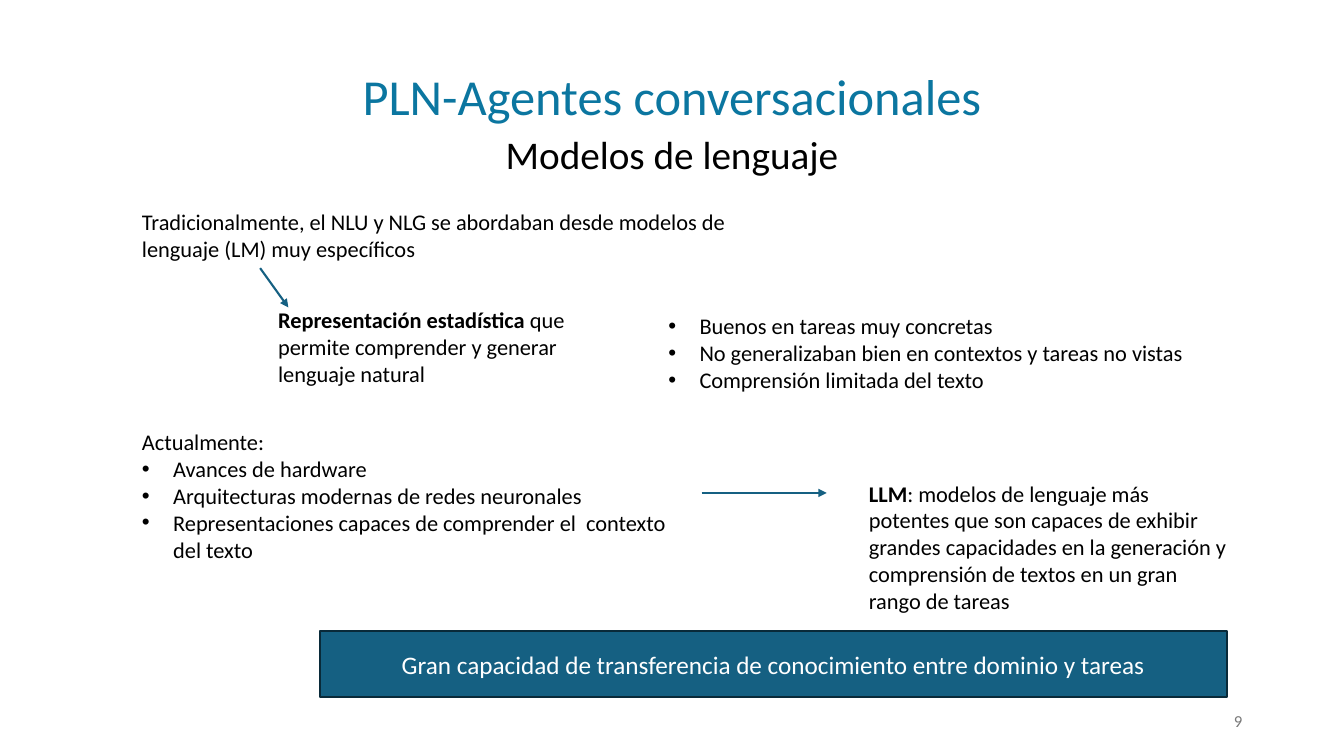
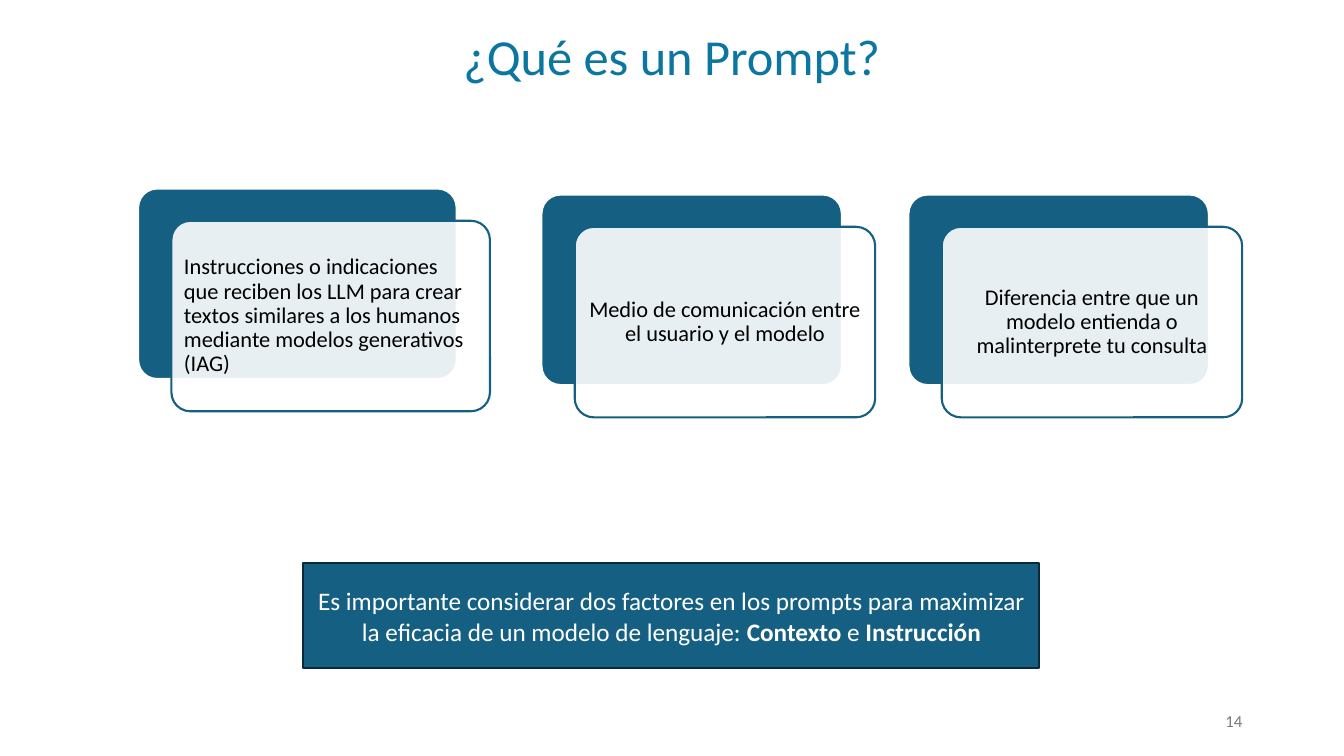
from lxml import etree
from pptx import Presentation
from pptx import util as u
from pptx.dml.color import RGBColor
from pptx.enum import shapes, text
from pptx.oxml import ns

TEAL = RGBColor(0x15, 0x60, 0x82)
DARK_TEAL = RGBColor(0x09, 0x2A, 0x39)
TITLE_BLUE = RGBColor(0x0B, 0x76, 0xA0)
GRAY = RGBColor(0x79, 0x79, 0x79)
BLACK = RGBColor(0, 0, 0)
WHITE = RGBColor(0xFF, 0xFF, 0xFF)

FONT = "Calibri"
BODY_SIZE = 16
LINE_WIDTH = u.Pt(1.5)
INDENT = u.Inches(0.31)
SLIDE_WIDTH, SLIDE_HEIGHT = 13.33, 7.5

LEFT, CENTER, RIGHT = text.PP_ALIGN.LEFT, text.PP_ALIGN.CENTER, text.PP_ALIGN.RIGHT
TOP, MIDDLE = text.MSO_ANCHOR.TOP, text.MSO_ANCHOR.MIDDLE


def inches(*lengths):
    return [u.Inches(length) for length in lengths]


def add_bullet(paragraph):
    properties = paragraph._p.get_or_add_pPr()
    properties.set("marL", str(INDENT))
    properties.set("indent", str(-INDENT))
    etree.SubElement(properties, ns.qn("a:buFont")).set("typeface", "Arial")
    etree.SubElement(properties, ns.qn("a:buChar")).set("char", "•")


def fill_paragraph(paragraph, content, size=BODY_SIZE, color=BLACK, align=LEFT):
    """Write text in which *asterisks* mark bold and a leading "- " a bullet."""
    if content.startswith("- "):
        add_bullet(paragraph)
        content = content[2:]
    paragraph.alignment = align
    for index, part in enumerate(content.split("*")):
        if part:
            run = paragraph.add_run()
            run.text = part
            run.font.name = FONT
            run.font.size = u.Pt(size)
            run.font.color.rgb = color
            run.font.bold = index % 2 == 1


def fill_frame(frame, lines, anchor=TOP, **style):
    frame.word_wrap = True
    frame.vertical_anchor = anchor
    for index, line in enumerate(lines):
        paragraph = frame.add_paragraph() if index else frame.paragraphs[0]
        fill_paragraph(paragraph, line, **style)


def add_text(slide, box, *lines, **style):
    frame = slide.shapes.add_textbox(*inches(*box)).text_frame
    fill_frame(frame, lines, **style)
    return frame


def space_paragraphs(frame, after):
    for paragraph in frame.paragraphs:
        paragraph.line_spacing = 0.9
        paragraph.space_after = u.Pt(after)


def add_title(slide, box, title, subtitle=None, anchor=TOP):
    frame = add_text(slide, box, title, size=36, color=TITLE_BLUE,
                     align=CENTER, anchor=anchor)
    if subtitle:
        fill_paragraph(frame.add_paragraph(), subtitle, size=28, align=CENTER)
    space_paragraphs(frame, 6)


def add_slide_number(slide, number):
    add_text(slide, (9.42, 6.95, 3, 0.4), str(number), size=12, color=GRAY,
             align=RIGHT, anchor=MIDDLE)


def add_box(slide, kind, box, fill, line):
    shape = slide.shapes.add_shape(kind, *inches(*box))
    shape.shadow.inherit = False
    shape.fill.solid()
    shape.fill.fore_color.rgb = fill
    shape.line.color.rgb = line
    shape.line.width = LINE_WIDTH
    return shape


def add_banner(slide, box, message):
    banner = add_box(slide, shapes.MSO_SHAPE.RECTANGLE, box, TEAL, DARK_TEAL)
    fill_frame(banner.text_frame, [message], size=18, color=WHITE,
               align=CENTER, anchor=MIDDLE)


def add_arrow(slide, start, end):
    arrow = slide.shapes.add_connector(
        shapes.MSO_CONNECTOR.STRAIGHT, *inches(*start, *end))
    arrow.line.color.rgb = TEAL
    arrow.line.width = LINE_WIDTH
    etree.SubElement(arrow.line._get_or_add_ln(), ns.qn("a:tailEnd")).set("type", "triangle")
    etree.SubElement(arrow._element.spPr, ns.qn("a:effectLst"))


def add_card(slide, left, top, width, message, align=CENTER):
    """A teal panel with a translucent text panel offset in front of it."""
    height = 1.89
    rounded = shapes.MSO_SHAPE.ROUNDED_RECTANGLE
    back = add_box(slide, rounded, (left, top, width, height), TEAL, WHITE)
    front = add_box(slide, rounded, (left + 0.33, top + 0.32, width, height), WHITE, TEAL)
    for panel in (back, front):
        panel.adjustments[0] = 0.1
    color = front.fill._xPr.find(".//" + ns.qn("a:srgbClr"))
    etree.SubElement(color, ns.qn("a:alpha")).set("val", "90000")

    frame = front.text_frame
    frame.margin_left = frame.margin_right = u.Inches(0.07)
    frame.margin_top = frame.margin_bottom = u.Inches(0.07)
    fill_frame(frame, [message], align=align, anchor=MIDDLE)
    space_paragraphs(frame, 5.6)


def build_language_models(slide):
    add_title(slide, (0, 0.38, SLIDE_WIDTH, 1.72), "PLN-Agentes conversacionales",
              "Modelos de lenguaje", anchor=MIDDLE)

    # Traditional models
    add_text(slide, (1.31, 2.02, 6.76, 0.64),
             "Tradicionalmente, el NLU y NLG se abordaban desde modelos de "
             "lenguaje (LM) muy específicos")
    add_arrow(slide, (2.58, 2.66), (2.86, 3.05))
    add_text(slide, (2.66, 2.99, 3.63, 0.91),
             "*Representación estadística* que permite comprender y generar "
             "lenguaje natural")
    add_text(slide, (6.53, 3.05, 6.67, 1.18),
             "- Buenos en tareas muy concretas",
             "- No generalizaban bien en contextos y tareas no vistas",
             "- Comprensión limitada del texto")

    # Current models
    add_text(slide, (1.31, 4.2, 5.53, 1.45),
             "Actualmente:",
             "- Avances de hardware",
             "- Arquitecturas modernas de redes neuronales",
             "- Representaciones capaces de comprender el  contexto del texto")
    add_arrow(slide, (6.96, 4.89), (8.2, 4.89))
    add_text(slide, (8.52, 4.71, 3.76, 1.45),
             "*LLM*: modelos de lenguaje más potentes que son capaces de exhibir "
             "grandes capacidades en la generación y comprensión de textos en un "
             "gran rango de tareas")

    add_banner(slide, (3.17, 6.26, 9, 0.66),
               "Gran capacidad de transferencia de conocimiento entre dominio y tareas")
    add_slide_number(slide, 9)


def build_prompt(slide):
    add_title(slide, (0, 0.27, SLIDE_WIDTH, 0.65), "¿Qué es un Prompt?")

    # Three definitions
    add_card(slide, 1.37, 1.87, 3.16,
             "Instrucciones o indicaciones que reciben los LLM para crear textos "
             "similares a los humanos mediante modelos generativos (IAG)", align=LEFT)
    add_card(slide, 5.37, 1.93, 2.98,
             "Medio de comunicación entre el usuario y el modelo")
    add_card(slide, 9.01, 1.93, 2.98,
             "Diferencia entre que un modelo entienda o malinterprete tu consulta")

    add_banner(slide, (3.01, 5.59, 7.3, 1.04),
               "Es importante considerar dos factores en los prompts para maximizar "
               "la eficacia de un modelo de lenguaje: *Contexto* e *Instrucción*")
    add_slide_number(slide, 14)


def main():
    presentation = Presentation()
    presentation.slide_width, presentation.slide_height = inches(SLIDE_WIDTH, SLIDE_HEIGHT)
    blank = presentation.slide_layouts[6]
    for build in (build_language_models, build_prompt):
        build(presentation.slides.add_slide(blank))
    presentation.save("out.pptx")


if __name__ == "__main__":
    main()
